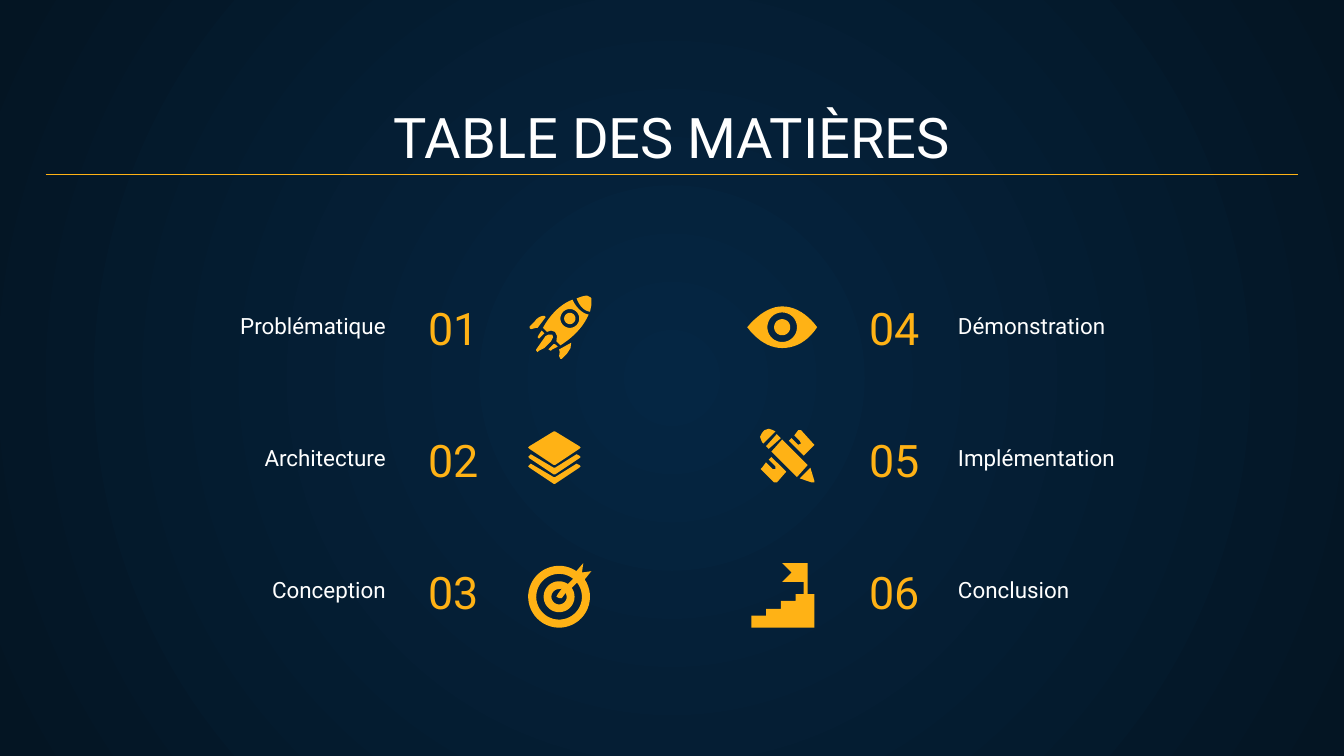
import math
from dataclasses import dataclass

from lxml import etree
from pptx import Presentation
from pptx import util as u
from pptx.dml.color import RGBColor
from pptx.enum import dml, shapes, text
from pptx.oxml.ns import qn

WHITE = RGBColor(0xFF, 0xFF, 0xFF)
AMBER = RGBColor(0xFF, 0xB2, 0x15)
NAVY = RGBColor(0x05, 0x26, 0x43)
MIDNIGHT = RGBColor(0x04, 0x15, 0x23)

FONT = "Roboto"
CELL = u.Inches(0.1)
COLUMNS, ROWS = 100, 56.25
ICON_CELL = 0.1
ENTRY_TOP, ENTRY_STEP = 20.8, 9.8


@dataclass
class Box:
    left: float
    top: float
    width: float
    height: float

    def inner(self, left, top, width, height):
        return Box(self.left + left, self.top + top, width, height)

    def lengths(self):
        return [round(n * CELL) for n in (self.left, self.top, self.width, self.height)]


def arc(x, y, radius, start=0, end=360, steps=48):
    angles = [math.radians(start + (end - start) * i / steps) for i in range(steps + 1)]
    return [(x + radius * math.cos(a), y + radius * math.sin(a)) for a in angles]


def curve(a, b, c, d, steps=10):
    points = []
    for i in range(steps + 1):
        t = i / steps
        weights = ((1 - t) ** 3, 3 * t * (1 - t) ** 2, 3 * t * t * (1 - t), t ** 3)
        points.append(tuple(sum(w * p[k] for w, p in zip(weights, (a, b, c, d))) for k in (0, 1)))
    return points


def chevron(top):
    points = [(2, 0), (1, 1), (0, 2), (1, 3), (19, 15), (20, 15),
              (38, 3), (39, 2), (38, 1), (36, 0), (20, 10), (19, 10)]
    return [(x, y + top) for x, y in points]


ROCKET = [
    [[(10, 26), (8, 29), (7, 31), (8, 32), (11, 29), (12, 28)]],
    [[(20, 36), (19, 36), (15, 40), (17, 41), (18, 40), (22, 38)]],
    [[(17, 29), (15, 29), (13, 30), (6, 40), (6, 41), (7, 42), (8, 41),
      (12, 39), (17, 34), (18.5, 31), (18, 29)]],
    [curve((12, 15), (10, 15), (7, 16), (5, 19)) + [(1, 23), (1, 24), (2, 25), (6, 24), (7, 24), (13, 16)]],
    [[(32, 35), (23, 40), (23.5, 42), (23, 45), (24, 47), (25, 47), (29, 43), (31.5, 39)]],
    [arc(31, 17, 4.2)],
    [curve((44, 0), (41, 0), (39, 1), (36, 2)) + curve((36, 2), (37, 5), (40, 11), (46, 12))
     + [(47, 7), (47, 2), (46, 1)]],
    [curve((33, 3), (25, 6), (17, 13), (11, 24)) + [(14, 27), (17, 26), (20, 27), (21.5, 30), (21, 34)]
     + curve((24, 37), (32, 32), (41, 24), (45, 14)) + curve((45, 14), (42, 14), (36, 10), (33, 3)),
     arc(31, 17, 7)],
]
LAYERS = [
    [[(19, 0), (20, 0), (38, 11), (39, 12), (38, 13), (20, 25), (19, 25), (1, 13), (0, 12), (1, 11)]],
    [chevron(24)],
    [chevron(17)],
]
TARGET = [[
    arc(23, 25, 23, -34, 304) + [(41, 0), (40, 7), (47, 6)],
    arc(23, 25, 17, -38, 308) + arc(23, 25, 11.5, 305, -35),
    arc(23, 25, 5.7, 0, 270) + [(25, 19), (22, 23), (21, 25), (23, 26), (25, 26), (28, 22)],
]]
EYE = [[
    curve((0, 15.5), (8, 6), (17, 0), (26, 0)) + curve((26, 0), (36, 0), (45, 6), (52, 15.5))
    + curve((52, 15.5), (45, 26), (36, 31), (26, 31)) + curve((26, 31), (17, 31), (8, 26), (0, 15.5)),
    arc(26, 15.5, 11),
    arc(26, 15.5, 6),
]]
TOOLS = [
    [[(13, 4), (5, 13), (7, 15), (16, 7)]],
    [[(30, 1), (29, 1), (26, 5), (30, 9), (31, 11), (29, 12), (28, 11), (24, 7), (22, 9),
      (33, 20), (40, 13), (41, 12), (40, 11), (31, 1)]],
    [[(17, 8), (9, 17), (28, 36), (36, 27)]],
    [[(38, 29), (30, 37), (39, 40), (41, 40), (41, 39)]],
    [[(9, 21), (7, 23), (12, 28), (12, 30), (10, 30), (5, 25), (2, 29), (1, 30), (2, 31),
      (11, 40), (13, 40), (20, 32)]],
    [[(7, 0), (4, 1), (2, 3), (0.5, 6), (2, 10), (3, 11), (12, 2), (10, 1)]],
]
STEPS = [[[
    (23, 0), (30, 7), (23, 14), (39, 14), (39, 23), (33, 23), (33, 28), (22, 28), (22, 34),
    (11, 34), (11, 39), (0, 39), (0, 48), (47, 48), (47, 23), (42, 23), (42, 0),
]]]

LEFT_ENTRIES = [
    ("01", "Problématique", ROCKET, (32.3, 1.2)),
    ("02", "Architecture", LAYERS, (32.3, 1.5)),
    ("03", "Conception", TARGET, (32.3, 1.5)),
]
RIGHT_ENTRIES = [
    ("04", "Démonstration", EYE, (0, 2)),
    ("05", "Implémentation", TOOLS, (0.9, 1.3)),
    ("06", "Conclusion", STEPS, (0.3, 1.5)),
]


def draw_background(page):
    fill = page.background.fill
    fill.gradient()
    for stop, color in zip(fill.gradient_stops, (NAVY, MIDNIGHT)):
        stop.color.rgb = color
    gradient = page.element.find(".//" + qn("a:gradFill"))
    gradient.remove(gradient.find(qn("a:lin")))
    circle = etree.SubElement(gradient, qn("a:path"), path="circle")
    etree.SubElement(circle, qn("a:fillToRect"), l="50000", t="50000", r="50000", b="50000")


def draw_text(page, box, words, size, color, align):
    frame = page.shapes.add_textbox(*box.lengths()).text_frame
    frame.word_wrap = True
    frame.auto_size = text.MSO_AUTO_SIZE.NONE
    frame.vertical_anchor = text.MSO_ANCHOR.BOTTOM
    frame.margin_left = frame.margin_right = frame.margin_top = frame.margin_bottom = CELL
    frame.text = words
    para = frame.paragraphs[0]
    para.alignment = align
    span = para.runs[0]
    span.font.name = FONT
    span.font.size = u.Pt(size)
    span.font.color.rgb = color


def draw_heading(page, box):
    draw_text(page, box, "TABLE DES MATIÈRES", 30, WHITE, text.PP_ALIGN.CENTER)
    left, top, width, _ = box.lengths()
    level = top + 6 * CELL
    rule = page.shapes.add_connector(shapes.MSO_CONNECTOR.STRAIGHT, left, level, left + width, level)
    rule.line.color.rgb = AMBER
    rule.line.width = u.Pt(0.75)
    etree.SubElement(rule.element.spPr, qn("a:effectLst"))


def draw_icon(page, left, top, parts):
    canvas = page.shapes.add_group_shape().shapes if len(parts) > 1 else page.shapes
    for part in parts:
        outlines = [[((left + x * ICON_CELL) * CELL, (top + y * ICON_CELL) * CELL) for x, y in points]
                    for points in part]
        builder = canvas.build_freeform(*outlines[0][0])
        builder.add_line_segments(outlines[0][1:])
        for points in outlines[1:]:
            builder.move_to(*points[0])
            builder.add_line_segments(points[1:])
        shape = builder.convert_to_shape()
        shape.shadow.inherit = False
        shape.fill.solid()
        shape.fill.fore_color.rgb = AMBER
        shape.line.fill.background()


def draw_entry(page, box, entry, label_left, number_left, label_align, number_align):
    number, label, icon, (icon_left, icon_top) = entry
    draw_text(page, box.inner(number_left, 0, 12.9, box.height), number, 24, AMBER, number_align)
    draw_text(page, box.inner(label_left, 3.35, 22.7, 2.1), label, 12, WHITE, label_align)
    draw_icon(page, box.left + icon_left, box.top + icon_top, icon)


def draw_column(page, left, entries, *layout):
    for i, entry in enumerate(entries):
        draw_entry(page, Box(left, ENTRY_TOP + i * ENTRY_STEP, 37.4, 6.6), entry, *layout)


def main():
    deck = Presentation()
    deck.slide_width, deck.slide_height = round(COLUMNS * CELL), round(ROWS * CELL)
    page = deck.slides.add_slide(deck.slide_layouts[6])
    draw_background(page)
    draw_heading(page, Box(3.4, 7, 93.2, 6.6))
    near, far = text.PP_ALIGN.LEFT, text.PP_ALIGN.RIGHT
    draw_column(page, 7, LEFT_ENTRIES, 0, 23.9, far, near)
    draw_column(page, 55.6, RIGHT_ENTRIES, 14.7, 0.9, near, far)
    deck.save("out.pptx")


if __name__ == "__main__":
    main()
